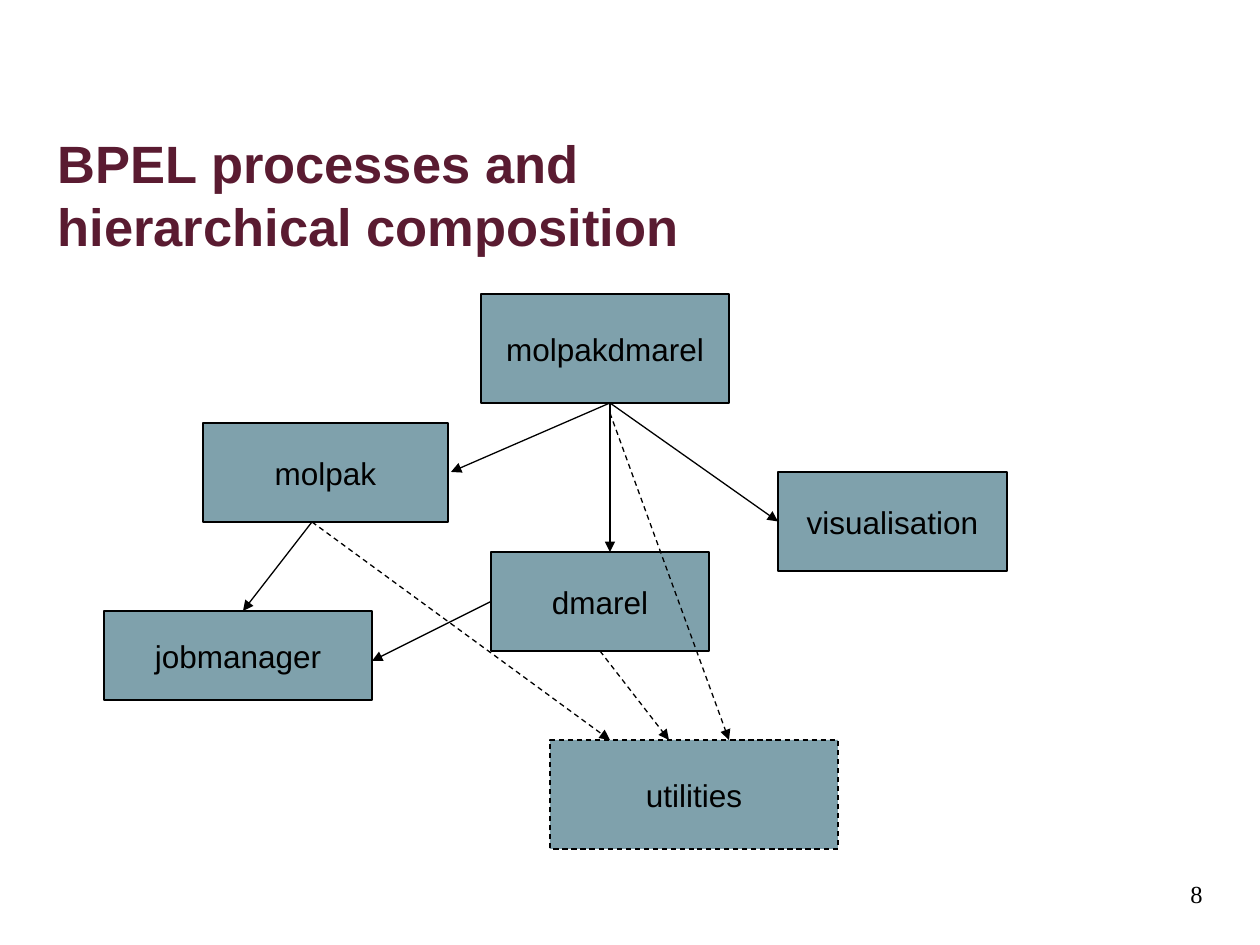
import pptx
import pptx.util
import pptx.dml.color
import pptx.enum.dml
import pptx.enum.shapes
import pptx.enum.text
import pptx.oxml
import pptx.oxml.ns

SCALE = 914400 / 126
ALIGN = pptx.enum.text.PP_ALIGN
ANCHOR = pptx.enum.text.MSO_ANCHOR
DASH = pptx.enum.dml.MSO_LINE.DASH

# name: left, top, width, height, dashed outline
NODES = {
    "molpakdmarel": (377, 0, 248, 109, False),
    "molpak": (99, 129, 245, 99, False),
    "dmarel": (387, 258, 218, 99, False),
    "utilities": (446, 446, 288, 109, True),
    "jobmanager": (0, 317, 268, 89, False),
    "visualisation": (674, 178, 229, 99, False),
}
# from, to, dashed, joined start, joined end
LINKS = [
    ((506, 109), (347, 178), False, None, None),
    ((506, 109), (506, 258), False, None, None),
    ((506, 109), (674, 228), False, None, ("visualisation", 1)),
    ((506, 119), (625, 446), True, None, None),
    ((208, 228), (139, 317), False, None, None),
    ((387, 308), (268, 367), False, ("dmarel", 1), None),
    ((496, 357), (565, 446), True, ("dmarel", 2), None),
    ((208, 228), (506, 446), True, None, None),
]


def px(n):
    return pptx.util.Emu(round(n * SCALE))


def rgb(code):
    return pptx.dml.color.RGBColor.from_string(code)


def style(para, size, face="Arial", color="000000", bold=False):
    font = para.font
    font.size = pptx.util.Pt(size)
    font.name = face
    font.bold = bold
    font.color.rgb = rgb(color)


def stroke(line, dashed):
    line.color.rgb = rgb("000000")
    line.width = pptx.util.Pt(0.75)
    if dashed:
        line.dash_style = DASH


def title(slide, x, y, w, h):
    box = slide.shapes.title
    box.left, box.top, box.width, box.height = map(px, (x, y, w, h))
    frame = box.text_frame
    frame.auto_size = pptx.enum.text.MSO_AUTO_SIZE.NONE
    frame.vertical_anchor = ANCHOR.TOP
    frame.text = "BPEL processes and \vhierarchical composition"
    para = frame.paragraphs[0]
    para.alignment = ALIGN.LEFT
    para.line_spacing = 1.0
    style(para, 30, color="5A1B31", bold=True)


def node(slide, text, x, y, w, h, dashed):
    box = slide.shapes.add_shape(
        pptx.enum.shapes.MSO_SHAPE.RECTANGLE, px(x), px(y), px(w), px(h))
    box.shadow.inherit = False
    box.fill.solid()
    box.fill.fore_color.rgb = rgb("7FA1AC")
    stroke(box.line, dashed)
    frame = box.text_frame
    frame.word_wrap = False
    frame.vertical_anchor = ANCHOR.MIDDLE
    frame.text = text
    para = frame.paragraphs[0]
    para.alignment = ALIGN.CENTER
    style(para, 18)
    return box


def arrow(slide, x1, y1, x2, y2, dashed):
    link = slide.shapes.add_connector(
        pptx.enum.shapes.MSO_CONNECTOR.STRAIGHT, px(x1), px(y1), px(x2), px(y2))
    stroke(link.line, dashed)
    tail = pptx.oxml.parse_xml(
        '<a:tailEnd %s type="triangle"/>' % pptx.oxml.ns.nsdecls("a"))
    link.line._get_or_add_ln().append(tail)
    link._element.spPr.append(pptx.oxml.parse_xml(
        "<a:effectLst %s/>" % pptx.oxml.ns.nsdecls("a")))
    return link


def graph(slide, x, y):
    """Draw the process boxes and the calls between them."""
    boxes = {text: node(slide, text, x + dx, y + dy, w, h, dashed)
             for text, (dx, dy, w, h, dashed) in NODES.items()}
    for (x1, y1), (x2, y2), dashed, start, end in LINKS:
        link = arrow(slide, x + x1, y + y1, x + x2, y + y2, dashed)
        if start:
            link.begin_connect(boxes[start[0]], start[1])
        if end:
            link.end_connect(boxes[end[0]], end[1])


def number(slide, x, y, w, h):
    box = slide.shapes.add_textbox(px(x), px(y), px(w), px(h))
    frame = box.text_frame
    frame.word_wrap = True
    frame.text = "8"
    para = frame.paragraphs[0]
    para.alignment = ALIGN.RIGHT
    style(para, 14, face="Times New Roman")


def main():
    deck = pptx.Presentation()
    deck.slide_width, deck.slide_height = px(1260), px(945)
    slide = deck.slides.add_slide(deck.slide_layouts[5])
    title(slide, 45, 125, 1169, 179)
    graph(slide, 104, 294)
    number(slide, 1076, 873, 139, 66)
    deck.save("out.pptx")


if __name__ == "__main__":
    main()
